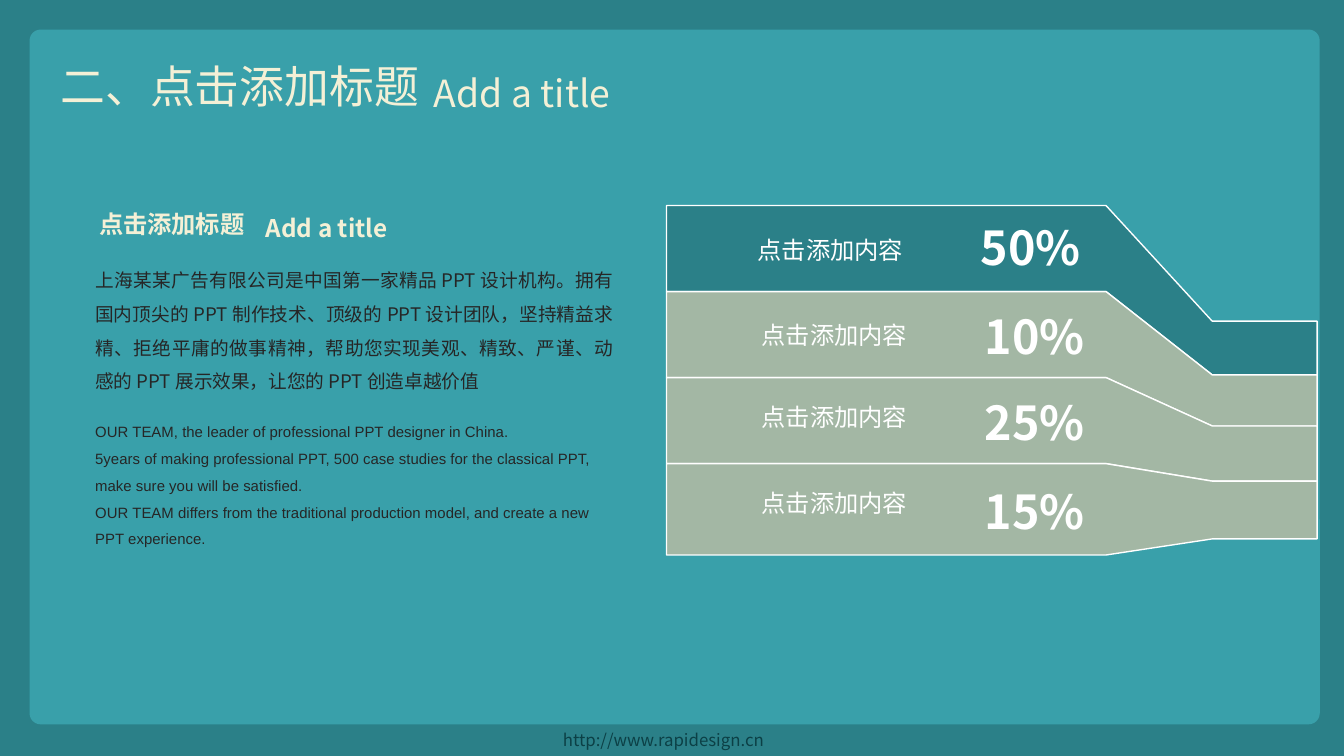
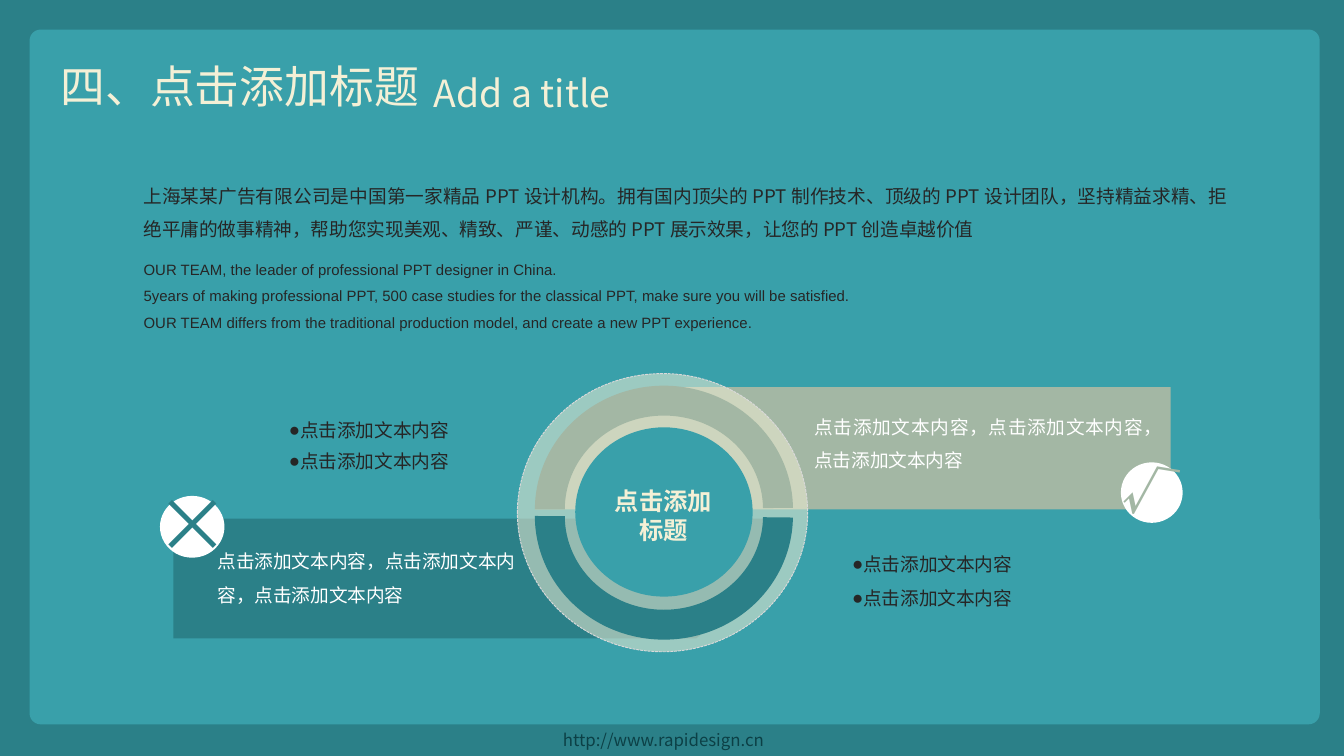
from lxml import etree
from pptx import Presentation
from pptx import util as u
from pptx.dml.color import RGBColor
from pptx.enum import dml, shapes, text
from pptx.oxml.ns import qn

COLORS = {
    "deep": "2B8088",
    "panel": "39A0AA",
    "sage": "A3B7A4",
    "cream": "F4F0D6",
    "ink": "262626",
    "footer": "0C4046",
    "dash": "D9D9D9",
    "white": "FFFFFF",
}
CJK = "Noto Sans CJK SC"
ALIGN = text.PP_ALIGN
SHAPE = shapes.MSO_SHAPE

PROFILE = (
    "上海某某广告有限公司是中国第一家精品PPT设计机构。拥有国内顶尖的PPT制作技术、"
    "顶级的PPT设计团队，坚持精益求精、拒绝平庸的做事精神，帮助您实现美观、精致、"
    "严谨、动感的PPT展示效果，让您的PPT创造卓越价值"
)
PROFILE_EN = [
    "OUR TEAM, the leader of professional PPT designer in China.",
    "5years of making professional PPT, 500 case studies for the classical PPT, "
    "make sure you will be satisfied.",
    "OUR TEAM differs from the traditional production model, and create a new PPT experience.",
]
HEADING = "点击添加标题"
HEADING_EN = "Add a title"
LABEL = "点击添加内容"
ITEM = "点击添加文本内容"
CALLOUT = "，".join([ITEM] * 3)


def rgb(name):
    return RGBColor.from_string(COLORS[name])


def write(holder, content, size=10, color="ink", font=CJK, bold=False,
          align=ALIGN.JUSTIFY, spacing=None, bullet=None):
    """Fill a text holder with one paragraph, or one for each list entry."""
    frame = holder.text_frame
    frame.word_wrap = True
    frame.auto_size = text.MSO_AUTO_SIZE.NONE
    frame.vertical_anchor = text.MSO_ANCHOR.TOP
    lines = [content] if isinstance(content, str) else content
    for i, line in enumerate(lines):
        para = frame.paragraphs[0] if i == 0 else frame.add_paragraph()
        para.alignment = align
        para.space_before = u.Pt(0)
        if spacing:
            para.line_spacing = spacing
        if bullet:
            props = para._p.get_or_add_pPr()
            props.set("marL", "0")
            props.set("indent", str(-u.Inches(0.31)))
            etree.SubElement(props, qn("a:buChar")).set("char", bullet)
        run = para.add_run()
        run.text = line
        run.font.size = u.Pt(size)
        run.font.bold = bold
        run.font.color.rgb = rgb(color)
        run.font.name = font
        etree.SubElement(run._r.get_or_add_rPr(), qn("a:ea")).set("typeface", font)


class Deck:
    def __init__(self):
        self.prs = Presentation()
        self.prs.slide_width = u.Inches(10)
        self.prs.slide_height = u.Inches(5.625)
        self.slide = None

    def new_slide(self, layout, title):
        """Start a slide with the shared frame, title and footer."""
        self.slide = self.prs.slides.add_slide(self.prs.slide_layouts[layout])
        panel = self.shape(SHAPE.ROUNDED_RECTANGLE, (0.22, 0.22, 9.6, 5.17), "panel", adj=[0.016])
        border = self.shape(SHAPE.RECTANGLE, (0, 0, 10, 5.625), "deep")
        for backdrop in (panel, border):
            self.slide.shapes._spTree.insert(2, backdrop._element)
        self.placeholder(0, (0.35, 0.39, 4.54, 0.5), title, size=24, color="cream")
        self.text((3.13, 0.47, 4.65, 0.44), HEADING_EN, size=20, color="cream")
        self.text((4.09, 5.38, 1.83, 0.25), "http://www.rapidesign.cn", size=9, color="footer")

    def placeholder(self, idx, box, content, **style):
        holder = self.slide.placeholders[idx]
        holder.left, holder.top, holder.width, holder.height = map(u.Inches, box)
        write(holder, content, **style)

    def text(self, box, content, rotation=0, **style):
        holder = self.slide.shapes.add_textbox(*map(u.Inches, box))
        holder.rotation = rotation
        write(holder, content, **style)

    def paint(self, shape, fill, line=None, width=0):
        shape.shadow.inherit = False
        shape.fill.solid()
        shape.fill.fore_color.rgb = rgb(fill)
        if line:
            shape.line.color.rgb = rgb(line)
            shape.line.width = u.Pt(width)
        else:
            shape.line.fill.background()
        return shape

    def shape(self, preset, box, fill, adj=(), **outline):
        shape = self.slide.shapes.add_shape(preset, *map(u.Inches, box))
        for i, value in enumerate(adj):
            shape.adjustments[i] = value
        return self.paint(shape, fill, **outline)

    def polygon(self, points, fill, **outline):
        start, *rest = [(u.Inches(x), u.Inches(y)) for x, y in points]
        builder = self.slide.shapes.build_freeform(*start)
        builder.add_line_segments(rest, close=True)
        return self.paint(builder.convert_to_shape(), fill, **outline)

    def profile(self, box, box_en):
        self.text(box, PROFILE, spacing=1.5)
        self.text(box_en, PROFILE_EN, size=8, font="Arial", align=ALIGN.LEFT, spacing=1.5)


def funnel_slide(deck):
    deck.new_slide(5, "二、点击添加标题")
    left_edges = [1.53, 2.17, 2.81, 3.45, 4.13]
    right_edges = [2.39, 2.79, 3.17, 3.58, 4.01]
    # share, fill, left shift, label top, share top
    bands = [
        ("50%", "deep", 0, 1.7, 1.58),
        ("10%", "sage", 0.03, 2.33, 2.24),
        ("25%", "sage", 0.03, 2.94, 2.88),
        ("15%", "sage", 0.03, 3.58, 3.54),
    ]
    for i, (share, fill, shift, label_top, share_top) in enumerate(bands):
        top, bottom = left_edges[i:i + 2]
        end_top, end_bottom = right_edges[i:i + 2]
        deck.polygon([(4.96, top), (8.23, top), (9.02, end_top), (9.8, end_top),
                      (9.8, end_bottom), (9.02, end_bottom), (8.23, bottom), (4.96, bottom)],
                     fill, line="white")
        deck.text((5.54 + shift, label_top, 1.8, 0.32), LABEL, size=13, color="white",
                  align=ALIGN.LEFT)
        deck.text((7.13 + shift, share_top, 1.08, 0.52), share, size=25, color="white",
                  bold=True, align=ALIGN.CENTER)

    deck.profile((0.61, 1.87, 4.05, 1.11), (0.61, 3.03, 4.05, 1.11))
    for box, heading in [((0.64, 1.4, 1.36, 0.39), HEADING),
                         ((1.88, 1.43, 1.18, 0.39), HEADING_EN)]:
        deck.text(box, heading, size=13, color="cream", bold=True, spacing=1.5)


def ring_slide(deck):
    deck.new_slide(3, "四、点击添加标题")
    deck.profile((0.97, 1.24, 8.26, 0.61), (0.97, 1.82, 7.52, 0.71))
    deck.placeholder(1, (2.05, 3, 1.64, 0.58), [ITEM] * 2, spacing=1.4, bullet="●")
    deck.placeholder(2, (6.24, 3.98, 1.64, 0.59), [ITEM] * 2, spacing=1.5, bullet="●")

    deck.polygon([(4.81, 2.88), (8.71, 2.88), (8.71, 3.79), (3.98, 3.79), (4.03, 3.63),
                  (4.06, 3.47), (4.11, 3.46), (4.49, 3.03), (4.77, 2.89)], "sage")
    deck.polygon([(5.9, 3.86), (1.29, 3.86), (1.29, 4.75), (5.18, 4.75),
                  (5.61, 4.41), (5.75, 4.13)], "deep")
    for box in [(5.96, 2.96, 2.65, 0.61), (1.52, 3.96, 2.41, 0.58)]:
        deck.text(box, CALLOUT, color="white", spacing=1.5)

    halo = deck.shape(SHAPE.OVAL, (3.85, 2.78, 2.16, 2.07), "cream", line="dash", width=0.5)
    halo.line.dash_style = dml.MSO_LINE.SQUARE_DOT
    tint = halo._element.spPr.find(qn("a:solidFill"))[0]
    etree.SubElement(tint, qn("a:alpha")).set("val", "53000")
    deck.shape(SHAPE.BLOCK_ARC, (3.98, 2.87, 1.92, 1.84), "sage", adj=[108, 215.596, 0.121])
    deck.shape(SHAPE.BLOCK_ARC, (3.98, 2.92, 1.92, 1.84), "deep", adj=[0.404, 108, 0.121])
    deck.shape(SHAPE.OVAL, (4.28, 3.18, 1.32, 1.26), "panel")
    deck.text((4.45, 3.57, 0.97, 0.54), HEADING, size=13, color="cream", bold=True,
              align=ALIGN.CENTER)

    deck.shape(SHAPE.OVAL, (8.34, 3.44, 0.46, 0.45), "white")
    deck.text((8.07, 3.37, 0.98, 0.57), "√", rotation=9.4, size=28, color="sage", bold=True,
              align=ALIGN.CENTER)
    deck.shape(SHAPE.OVAL, (1.19, 3.69, 0.48, 0.46), "white")
    deck.text((0.95, 3.51, 0.97, 0.77), "×", size=40, color="deep", align=ALIGN.CENTER)


def main():
    deck = Deck()
    funnel_slide(deck)
    ring_slide(deck)
    deck.prs.save("out.pptx")


if __name__ == "__main__":
    main()
